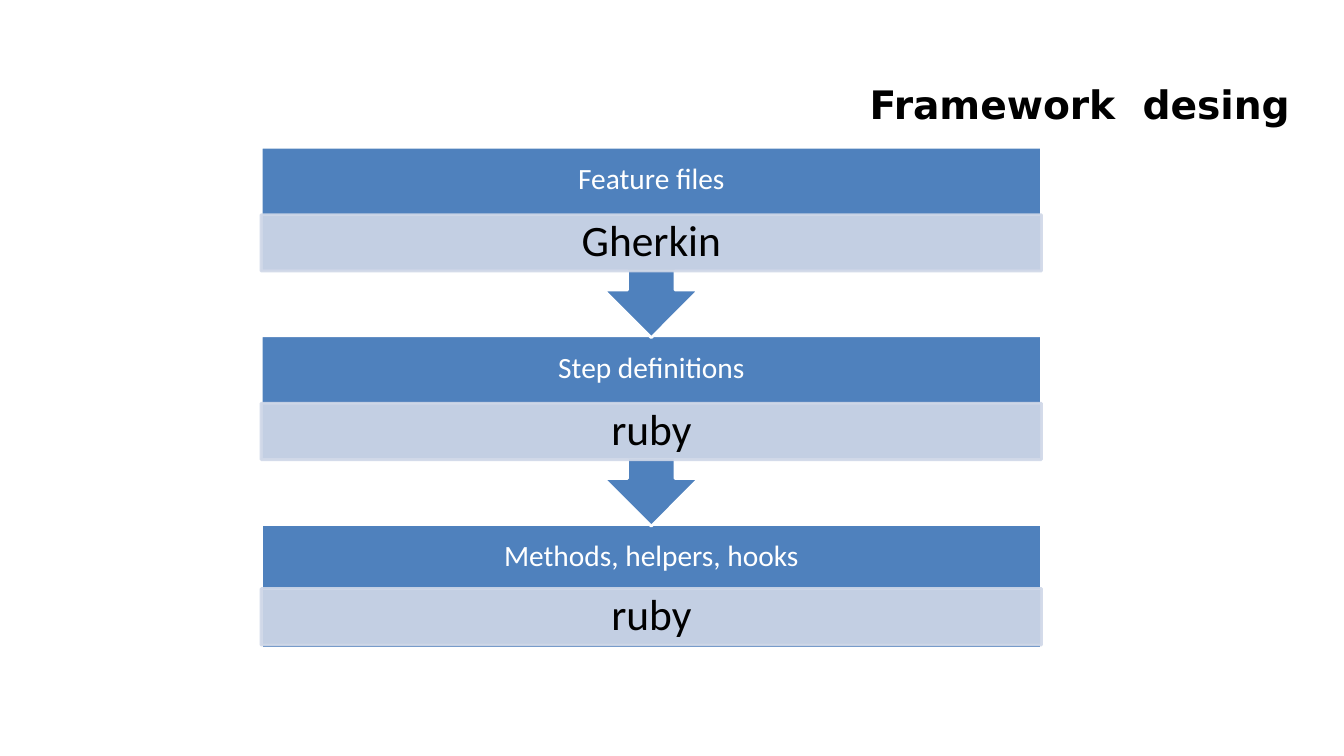
from dataclasses import dataclass

from lxml import etree
from pptx import Presentation
from pptx.dml.color import RGBColor
from pptx.enum.shapes import MSO_SHAPE
from pptx.enum.text import MSO_ANCHOR, PP_ALIGN
from pptx.oxml.ns import qn
from pptx.util import Inches, Pt

RECT, CALLOUT = MSO_SHAPE.RECTANGLE, MSO_SHAPE.DOWN_ARROW_CALLOUT
MIDDLE = MSO_ANCHOR.MIDDLE
CENTER, RIGHT = PP_ALIGN.CENTER, PP_ALIGN.RIGHT


@dataclass(frozen=True)
class Theme:
    blue: str = "4F81BD"
    pale: str = "D0D8E8"
    white: str = "FFFFFF"
    black: str = "000000"
    title_font: str = "DejaVu Sans"
    body_font: str = "Calibri"
    title_size: int = 28
    label_size: int = 21
    detail_size: int = 31
    line_width: int = 2
    band_opacity: int = 90


THEME = Theme()

# Grid of the flow, in inches: one column, equal row pitch
SLIDE_W, SLIDE_H = 13.33, 7.5
LEFT, WIDTH = 2.59, 7.74
TOP, PITCH = 1.46, 1.87
CALLOUT_H, BOX_H = 1.89, 1.23
LABEL_H, BAND_H = 0.66, 0.56

# Heading, detail, share of the box above the detail band
STEPS = [
    ("Feature files", "Gherkin", 0.545),
    ("Step definitions", "ruby", 0.545),
    ("Methods, helpers, hooks", "ruby", 0.52),
]


def set_text(s, text, font, size, color, align, insets, bold=False, spacing=1.0):
    """Write one paragraph; insets run left, top, right, bottom."""
    tf = s.text_frame
    tf.word_wrap = True
    tf.vertical_anchor = MIDDLE
    tf.margin_left, tf.margin_top, tf.margin_right, tf.margin_bottom = map(Inches, insets)
    p = tf.paragraphs[0]
    p.text = text
    p.alignment = align
    p.line_spacing = spacing
    p.font.name = font
    p.font.size = Pt(size)
    p.font.bold = bold
    p.font.color.rgb = RGBColor.from_string(color)


def add_block(slide, kind, top, height, fill, line):
    s = slide.shapes.add_shape(kind, *map(Inches, (LEFT, top, WIDTH, height)))
    s.shadow.inherit = False
    s.fill.solid()
    s.fill.fore_color.rgb = RGBColor.from_string(fill)
    s.line.color.rgb = RGBColor.from_string(line)
    s.line.width = Pt(THEME.line_width)
    return s


def set_opacity(s, percent):
    """Apply the opacity to both fill and line."""
    for color in s.fill._xPr.iter(qn("a:srgbClr")):
        etree.SubElement(color, qn("a:alpha")).set("val", str(percent * 1000))


def add_title(slide, text):
    s = slide.shapes.add_textbox(*map(Inches, (3.11, 0.57, 9.78, 0.92)))
    set_text(s, text, THEME.title_font, THEME.title_size, THEME.black, RIGHT,
             (0.1, 0.05, 0.1, 0.05), bold=True)


def add_step(slide, row, heading, detail, band_share):
    top = TOP + row * PITCH
    last = row == len(STEPS) - 1

    # Heading block, with an arrow to the next step
    kind, height = (RECT, BOX_H) if last else (CALLOUT, CALLOUT_H)
    s = add_block(slide, kind, top, height, THEME.blue, THEME.white)
    pad = 0.16
    set_text(s, heading, THEME.body_font, THEME.label_size, THEME.white, CENTER,
             (pad, pad, pad, pad + BOX_H - LABEL_H), spacing=0.9)

    # Detail band
    s = add_block(slide, RECT, top + BOX_H * band_share, BAND_H, THEME.pale, THEME.pale)
    set_opacity(s, THEME.band_opacity)
    set_text(s, detail, THEME.body_font, THEME.detail_size, THEME.black, CENTER,
             (0.24, 0.04, 0.24, 0.04), spacing=0.9)


def main():
    prs = Presentation()
    prs.slide_width, prs.slide_height = Inches(SLIDE_W), Inches(SLIDE_H)
    slide = prs.slides.add_slide(prs.slide_layouts[6])

    add_title(slide, "Framework  desing")
    # Lower steps first, so each arrow tip lies on top of the next block
    for row, step in reversed(list(enumerate(STEPS))):
        add_step(slide, row, *step)

    prs.save("out.pptx")


if __name__ == "__main__":
    main()
